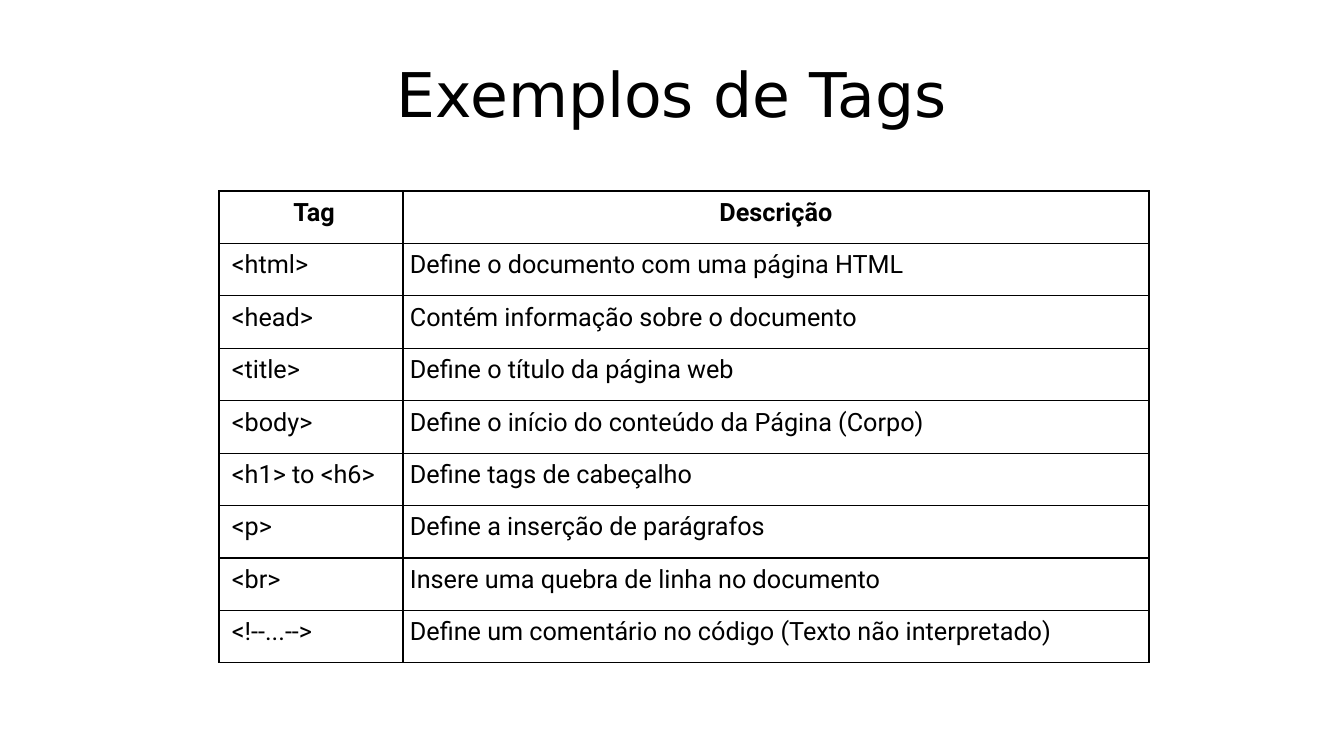
from dataclasses import dataclass

from lxml.etree import SubElement
from pptx import Presentation
from pptx.dml.color import RGBColor
from pptx.enum.text import MSO_ANCHOR, PP_ALIGN
from pptx.oxml.ns import qn
from pptx.util import Pt


@dataclass(frozen=True)
class Theme:
    """Colours, fonts and type sizes of the slide."""
    ink: str = "000000"
    paper: str = "FFFFFF"
    title_font: str = "DejaVu Sans"
    body_font: str = "Roboto"
    title_size: int = 44
    body_size: int = 18
    rule_width: int = 1


THEME = Theme()
EMU_PER_PX = 914400 / 100.8
SLIDE_SIZE = (1344, 756)
TITLE_BOX = (67, 30, 1210, 126)
TABLE_BOX = (219, 191, 930, 472)
COLUMN_WIDTHS = (184, 746)
LEFT_INSETS = (13, 7)
CELL_INSET = 7

HEADINGS = ("Tag", "Descrição")
TAGS = (
    ("<html>", "Define o documento com uma página HTML"),
    ("<head>", "Contém informação sobre o documento"),
    ("<title>", "Define o título da página web"),
    ("<body>", "Define o início do conteúdo da Página (Corpo)"),
    ("<h1> to <h6>", "Define tags de cabeçalho"),
    ("<p>", "Define a inserção de parágrafos"),
    ("<br>", "Insere uma quebra de linha no documento"),
    ("<!--...-->", "Define um comentário no código (Texto não interpretado)"),
)


def px(length):
    """Turn pixels into EMU."""
    return round(length * EMU_PER_PX)


def write(text_frame, text, font_name, size, align, bold=False):
    """Put one formatted paragraph into a text frame."""
    text_frame.text = text
    paragraph = text_frame.paragraphs[0]
    paragraph.alignment = align
    font = paragraph.font
    font.name, font.size, font.bold = font_name, Pt(size), bold
    font.color.rgb = RGBColor.from_string(THEME.ink)


def place_title(slide, text):
    """Move the title placeholder and write the heading in it."""
    title = slide.shapes.title
    title.left, title.top, title.width, title.height = map(px, TITLE_BOX)
    title.text_frame.vertical_anchor = MSO_ANCHOR.MIDDLE
    write(title.text_frame, text, THEME.title_font, THEME.title_size, PP_ALIGN.CENTER)


def rule_cell(cell):
    """Draw a solid line on all four sides of a cell."""
    properties = cell._tc.get_or_add_tcPr()
    for side in ("a:lnL", "a:lnR", "a:lnT", "a:lnB"):
        line = SubElement(properties, qn(side), w=str(Pt(THEME.rule_width)))
        SubElement(SubElement(line, qn("a:solidFill")), qn("a:srgbClr"), val=THEME.ink)


def format_cell(cell, text, left_inset, heading):
    """Fill one cell with text, rules and background."""
    rule_cell(cell)
    cell.fill.solid()
    cell.fill.fore_color.rgb = RGBColor.from_string(THEME.paper)
    cell.margin_left = px(left_inset)
    cell.margin_right = cell.margin_top = cell.margin_bottom = px(CELL_INSET)
    cell.vertical_anchor = MSO_ANCHOR.TOP
    align = PP_ALIGN.CENTER if heading else PP_ALIGN.LEFT
    write(cell.text_frame, text, THEME.body_font, THEME.body_size, align, heading)


def add_tag_table(slide, headings, tags):
    """Add the table of tags under its heading row."""
    entries = (headings, *tags)
    table = slide.shapes.add_table(
        len(entries), len(headings), *map(px, TABLE_BOX)
    ).table
    table.horz_banding = False
    for column, width in zip(table.columns, COLUMN_WIDTHS):
        column.width = px(width)
    for row_index, (row, entry) in enumerate(zip(table.rows, entries)):
        row.height = px(TABLE_BOX[3] / len(entries))
        for cell, text, left_inset in zip(row.cells, entry, LEFT_INSETS):
            format_cell(cell, text, left_inset, heading=row_index == 0)


def main():
    """Build and save the slide."""
    presentation = Presentation()
    presentation.slide_width, presentation.slide_height = map(px, SLIDE_SIZE)
    slide = presentation.slides.add_slide(
        presentation.slide_layouts.get_by_name("Title Only")
    )
    place_title(slide, "Exemplos de Tags")
    add_tag_table(slide, HEADINGS, TAGS)
    presentation.save("out.pptx")


if __name__ == "__main__":
    main()
